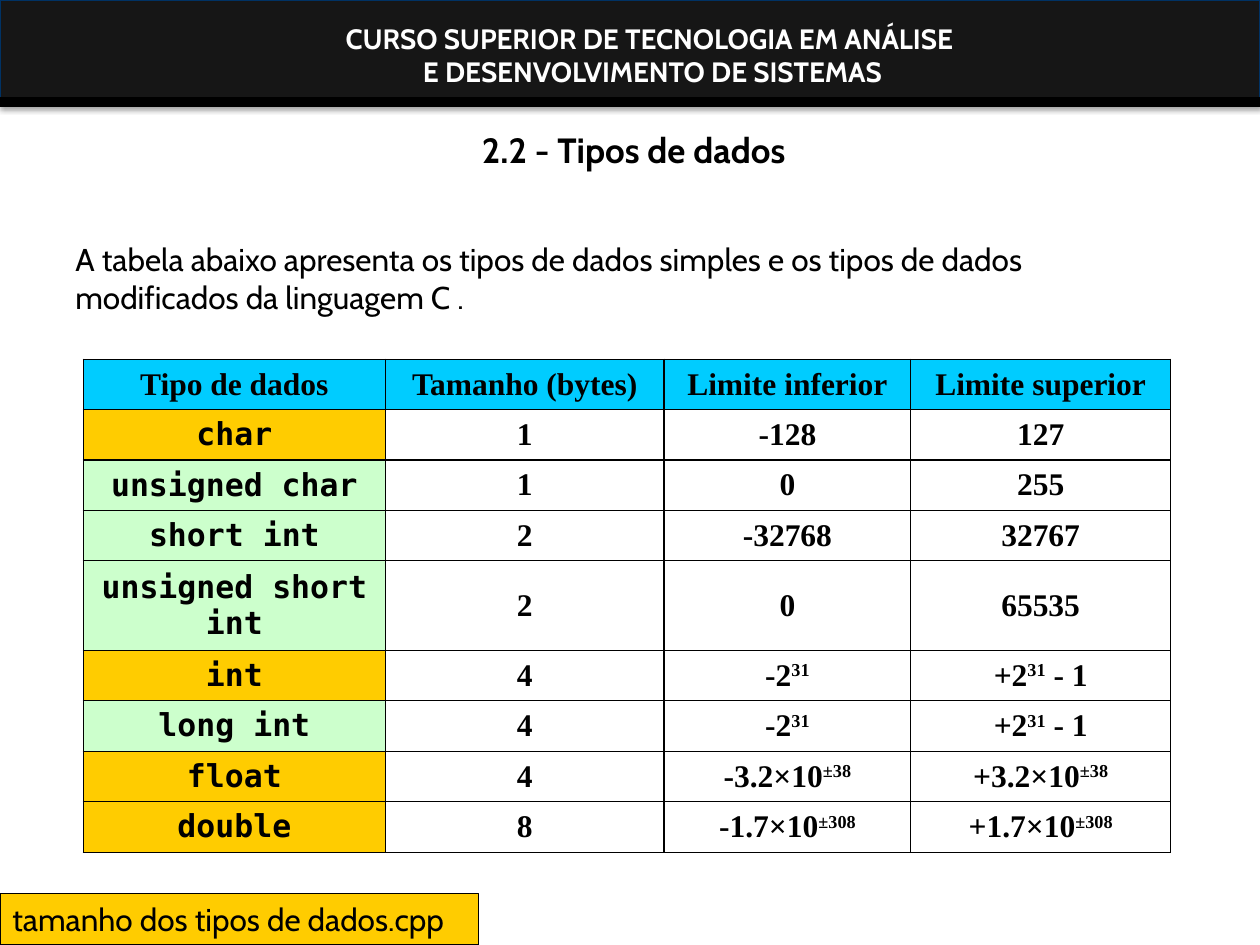
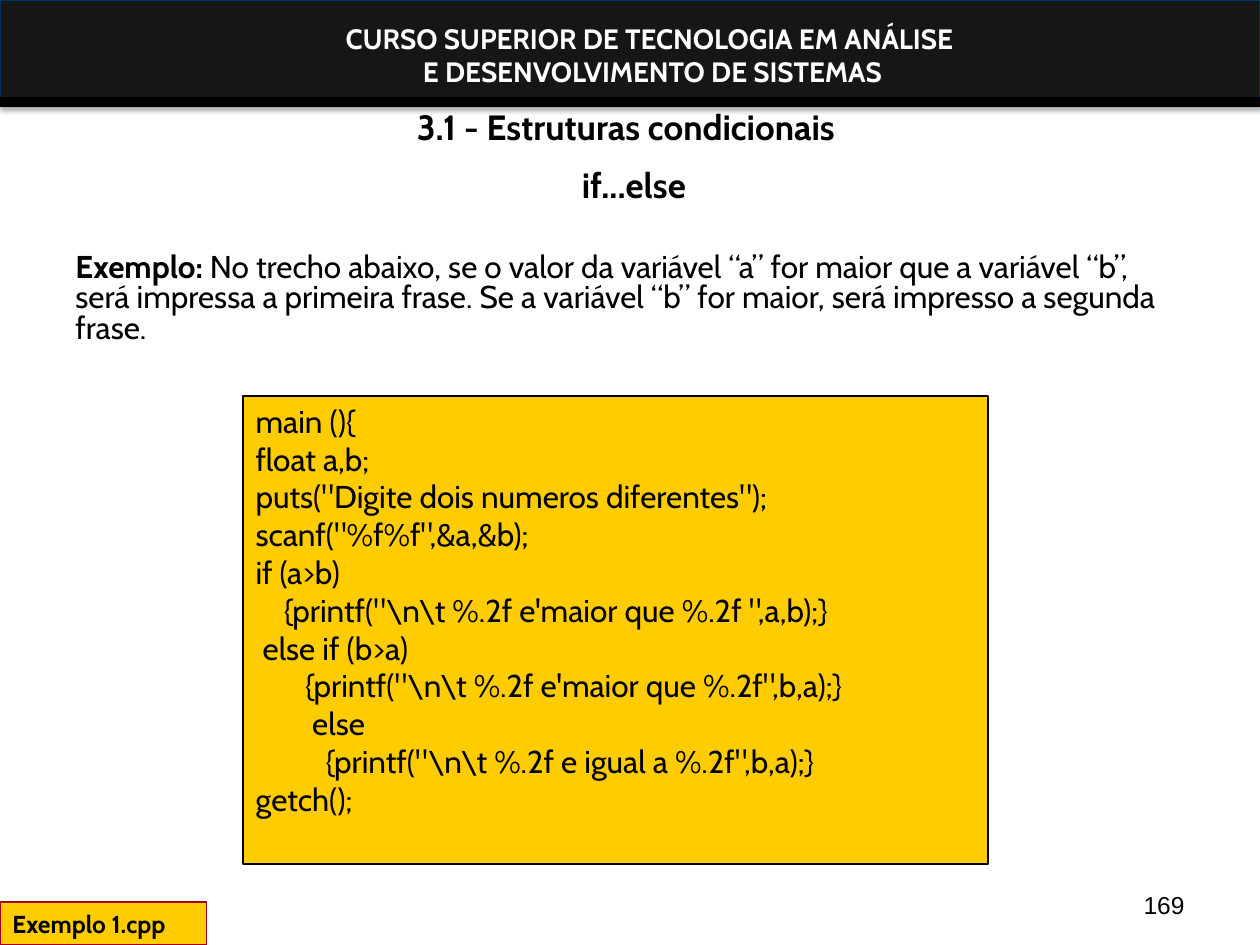
"""Builds two slides on C data types and conditional structures."""
from lxml.etree import SubElement
from pptx import Presentation
from pptx.dml.color import RGBColor
from pptx.enum.shapes import MSO_CONNECTOR, MSO_SHAPE
from pptx.enum.text import MSO_ANCHOR, PP_ALIGN
from pptx.oxml.ns import qn
from pptx.util import Inches, Pt

HUES = {"ink": "000000", "paper": "FFFFFF", "band": "161616", "navy": "003264",
        "gold": "FFCC00", "mint": "CCFFCC", "sky": "00CCFF", "wine": "A50021"}
WIDE, HIGH = Inches(10), Inches(7.5)
COLS, ROWS = 100, 75

TITLE = {"size": Pt(20), "bold": True}
HEAD = {"size": Pt(16), "bold": True}
BODY = {"size": Pt(18)}
CELL = {"size": Pt(18), "bold": True, "name": "Times New Roman"}
CODE = {**CELL, "name": "DejaVu Sans Mono"}
SMALL = {"size": Pt(14), "bold": True}
PAGE = {"size": Pt(14), "name": "Arial"}
MID = {"alignment": PP_ALIGN.CENTER}
RIGHT = {"alignment": PP_ALIGN.RIGHT}

COURSE = ["CURSO SUPERIOR DE TECNOLOGIA EM ANÁLISE ", "E DESENVOLVIMENTO DE SISTEMAS"]
TYPES = [
    ("sky", "Tipo de dados", "Tamanho (bytes)", "Limite inferior", "Limite superior"),
    ("gold", "char", "1", "-128", "127"),
    ("mint", "unsigned char", "1", "0", "255"),
    ("mint", "short int", "2", "-32768", "32767"),
    ("mint", "unsigned short int", "2", "0", "65535"),
    ("gold", "int", "4", "-2^31", "+2^31^ - 1"),
    ("mint", "long int", "4", "-2^31", "+2^31^ - 1"),
    ("gold", "float", "4", "-3.2×10^±38", "+3.2×10^±38"),
    ("gold", "double", "8", "-1.7×10^±308", "+1.7×10^±308"),
]
PROGRAM = r"""main (){
float a,b;
puts("Digite dois numeros diferentes");
scanf("%f%f",&a,&b);
if (a>b)
    {printf("\n\t %.2f e'maior que %.2f ",a,b);}
 else if (b>a)
       {printf("\n\t %.2f e'maior que %.2f",b,a);}
        else
TAB {printf("\n\t %.2f e igual a %.2f",b,a);}
getch();""".replace("TAB", "\t").split("\n")


def hue(name):
    """Return the named colour."""
    return RGBColor.from_string(HUES[name])


def grid(x, y, w, h):
    """Turn grid columns and rows into slide lengths."""
    return [round(n * size / count) for n, size, count in
            ((x, WIDE, COLS), (y, HIGH, ROWS), (w, WIDE, COLS), (h, HIGH, ROWS))]


def dress(item, form):
    """Set each format value on an item."""
    for key, value in form.items():
        setattr(item, key, value)


def lift(run):
    """Raise a run as an exponent."""
    run.font._element.set("baseline", "30000")


def thick(run):
    """Make a run bold."""
    run.font.bold = True


def write(frame, lines, font, para=None, color="ink", mark=lift):
    """Fill a frame with lines, marking the parts between carets."""
    for i, line in enumerate(lines):
        item = frame.paragraphs[0] if i == 0 else frame.add_paragraph()
        dress(item, para or {})
        for j, part in enumerate(line.split("^")):
            if part:
                run = item.add_run()
                run.text = part
                dress(run.font, {"name": "Cabin", **font})
                run.font.color.rgb = hue(color)
                if j % 2:
                    mark(run)


def label(slide, place, lines, font, para=None, anchor=MSO_ANCHOR.TOP, **look):
    """Add a wrapped text box."""
    frame = slide.shapes.add_textbox(*grid(*place)).text_frame
    dress(frame, {"word_wrap": True, "vertical_anchor": anchor})
    write(frame, lines, font, para, **look)


def panel(slide, place, fill, line, width=0.75):
    """Add a filled, outlined rectangle without shadow."""
    shape = slide.shapes.add_shape(MSO_SHAPE.RECTANGLE, *grid(*place))
    shape.fill.solid()
    shape.fill.fore_color.rgb = hue(fill)
    shape.line.color.rgb = hue(line)
    shape.line.width = Pt(width)
    shape.shadow.inherit = False
    return shape


def note(slide, place, lines, font, line="ink", width=0.75, anchor=MSO_ANCHOR.MIDDLE):
    """Add a gold panel with text on its left."""
    frame = panel(slide, place, "gold", line, width).text_frame
    dress(frame, {"word_wrap": True, "vertical_anchor": anchor})
    write(frame, lines, font, {"alignment": PP_ALIGN.LEFT})


def shade(shape):
    """Cast a soft shadow below a shape."""
    glow = SubElement(shape._element.spPr.find(qn("a:effectLst")), qn("a:outerShdw"),
                      blurRad=str(Pt(3.1)), dist=str(Pt(1.8)), dir="5400000", rotWithShape="0")
    tone = SubElement(glow, qn("a:srgbClr"), val=HUES["ink"])
    SubElement(tone, qn("a:alpha"), val="35000")


def start(deck):
    """Add a slide with the course band."""
    slide = deck.slides.add_slide(deck.slide_layouts[6])
    shade(panel(slide, (0, 0, COLS, 8.4), "band", "navy"))
    label(slide, (13, 1.2, 77.6, 6.4), COURSE, HEAD, MID, color="paper")
    x, y, end, _ = grid(0, 8.1, COLS, 0)
    rule = slide.shapes.add_connector(MSO_CONNECTOR.STRAIGHT, x, y, end, y)
    rule.line.color.rgb = hue("ink")
    rule.line.width = Pt(6)
    SubElement(rule._element.spPr, qn("a:effectLst"))
    return slide


def edge(cell):
    """Draw thin black borders round a cell."""
    props = cell._tc.get_or_add_tcPr()
    for side in "LRTB":
        line = SubElement(props, qn(f"a:ln{side}"), w=str(Pt(0.75)))
        fill = SubElement(line, qn("a:solidFill"))
        SubElement(fill, qn("a:srgbClr"), val=HUES["ink"])


def chart(slide, place, widths, rows):
    """Add the table of types, its first row and column tinted."""
    table = slide.shapes.add_table(len(rows), len(widths), *grid(*place)).table
    dress(table, {"first_row": False, "horz_banding": False})
    for col, width in zip(table.columns, widths):
        col.width = grid(0, 0, width, 0)[2]
    for r, (tint, *words) in enumerate(rows):
        table.rows[r].height = grid(0, 0, 0, 7.1 if len(words[0]) > 15 else 4)[3]
        for c, word in enumerate(words):
            cell = table.cell(r, c)
            cell.vertical_anchor = MSO_ANCHOR.MIDDLE
            edge(cell)
            if r == 0 or c == 0:
                cell.fill.solid()
                cell.fill.fore_color.rgb = hue(tint)
            else:
                cell.fill.background()
            write(cell.text_frame, [word], CODE if r and c == 0 else CELL, MID)


def types(deck):
    """Build the slide on data types."""
    slide = start(deck)
    label(slide, (5.3, 4.4, 90, 15), ["2.2 - Tipos de dados"], TITLE, MID, MSO_ANCHOR.MIDDLE)
    label(slide, (5, 18.6, 89, 8), ["A tabela abaixo apresenta os tipos de dados simples e os "
                                    "tipos de dados modificados da linguagem C ."], BODY)
    chart(slide, (6.6, 28.5, 86.3, 39.1), (24, 22.1, 19.6, 20.6), TYPES)
    note(slide, (0, 70.9, 38, 4.1), ["tamanho dos tipos de dados.cpp"], BODY)


def choice(deck):
    """Build the slide on conditional structures."""
    slide = start(deck)
    label(slide, (23.3, 69.4 - 65.2, 53.4, 15), ["3.1 - Estruturas condicionais ", " if...else"],
          TITLE, {**MID, "line_spacing": Pt(33)}, MSO_ANCHOR.MIDDLE)
    label(slide, (5, 19.7, 89.9, 10),
          ["^Exemplo:^ No trecho abaixo, se o valor da variável “a” for maior que a variável “b”, "
           "será impressa a primeira frase. Se a variável “b” for maior, será impresso a segunda "
           "frase."], BODY, {"line_spacing": 0.8}, mark=thick)
    note(slide, (19.3, 31.4, 59.1, 37.2), PROGRAM, BODY, width=1, anchor=MSO_ANCHOR.TOP)
    note(slide, (0, 71.6, 16.4, 3.4), ["Exemplo 1.cpp"], SMALL, "wine")
    label(slide, (71.7, 68.3, 23.3, 5.2), ["169"], PAGE, RIGHT, MSO_ANCHOR.BOTTOM)


def main():
    """Build and save the deck."""
    deck = Presentation()
    dress(deck, {"slide_width": WIDE, "slide_height": HIGH})
    types(deck)
    choice(deck)
    deck.save("out.pptx")


if __name__ == "__main__":
    main()
